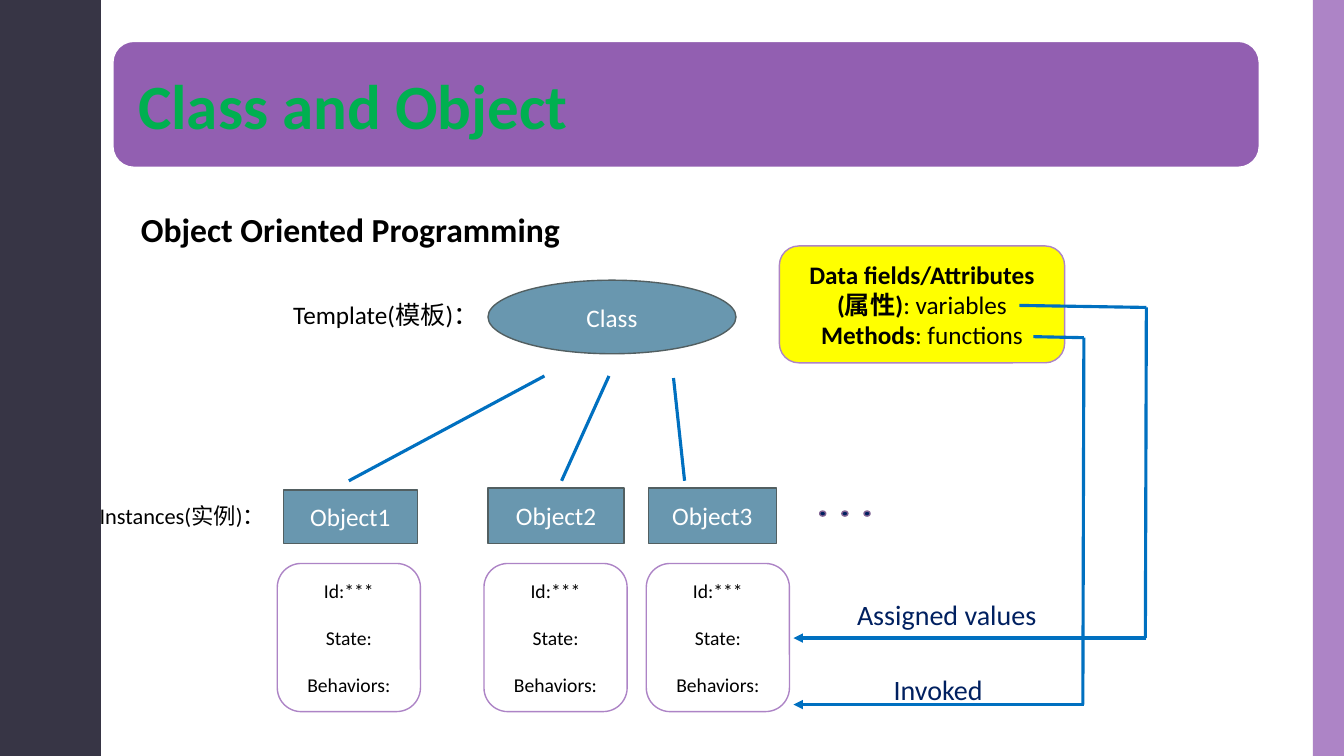
from lxml import etree
from pptx import Presentation
from pptx.dml.color import RGBColor
from pptx.enum.shapes import MSO_CONNECTOR, MSO_SHAPE
from pptx.enum.text import MSO_ANCHOR, PP_ALIGN
from pptx.oxml.ns import qn
from pptx.util import Inches, Pt

WHITE = RGBColor(0xFF, 0xFF, 0xFF)
BLACK = RGBColor(0, 0, 0)
NAVY = RGBColor(0x00, 0x20, 0x60)
BLUE = RGBColor(0x00, 0x70, 0xC0)
GREEN = RGBColor(0x00, 0xB0, 0x50)
YELLOW = RGBColor(0xFF, 0xFF, 0x00)
DARK = RGBColor(0x37, 0x35, 0x45)
LILAC = RGBColor(0xAD, 0x84, 0xC6)
PURPLE = RGBColor(0x87, 0x4E, 0xA9)
PLUM = RGBColor(0x80, 0x62, 0x92)
STEEL = RGBColor(0x69, 0x97, 0xAF)
SLATE = RGBColor(0x52, 0x5F, 0x61)

FONT = "Calibri"
WAVE_HALF = 0.75
WAVE_SUM = 1.75
WAVE_START = [(0.78, 0), (0.78, 0.07), (0.79, 0.14), (0.8, 0.2),
              (0.81, 0.25), (0.83, 0.29), (0.85, 0.33)]


def write(sp, paragraphs, size, color, align=PP_ALIGN.CENTER,
          anchor=MSO_ANCHOR.MIDDLE, wrap=True, gap=0):
    tf = sp.text_frame
    tf.word_wrap = wrap
    tf.vertical_anchor = anchor
    for i, runs in enumerate(paragraphs):
        p = tf.paragraphs[0] if i == 0 else tf.add_paragraph()
        p.alignment = align
        if i and gap:
            p.space_before = Pt(gap)
        for text, bold in runs:
            r = p.add_run()
            r.text = text
            r.font.name = FONT
            r.font.size = Pt(size)
            r.font.bold = bold
            r.font.color.rgb = color
    return tf


def paint(sp, fill, line=None):
    sp.shadow.inherit = False
    sp.fill.solid()
    sp.fill.fore_color.rgb = fill
    if line is None:
        sp.line.fill.background()
    else:
        sp.line.color.rgb = line
        sp.line.width = Pt(1)
    return sp


def add_box(s, kind, x, y, w, h, fill, line=None):
    sp = s.shapes.add_shape(kind, Inches(x), Inches(y), Inches(w), Inches(h))
    return paint(sp, fill, line)


def add_label(s, x, y, w, h, text, size, color=BLACK, bold=False,
              align=PP_ALIGN.LEFT, wrap=True):
    sp = s.shapes.add_textbox(Inches(x), Inches(y), Inches(w), Inches(h))
    write(sp, [[(text, bold)]], size, color, align, MSO_ANCHOR.TOP, wrap)


def add_line(s, x1, y1, x2, y2, arrow=False):
    line = s.shapes.add_connector(MSO_CONNECTOR.STRAIGHT, Inches(x1), Inches(y1),
                                  Inches(x2), Inches(y2))
    line.line.color.rgb = BLUE
    line.line.width = Pt(2.25)
    if arrow:
        etree.SubElement(line.line._get_or_add_ln(), qn("a:tailEnd"), type="triangle")
    etree.SubElement(line._element.spPr, qn("a:effectLst"))


def add_side_bands(s, width, height):
    half = WAVE_START + [(WAVE_SUM - x, WAVE_HALF - y) for x, y in reversed(WAVE_START)]
    period = half + [(x, 2 * WAVE_HALF - y) for x, y in reversed(half[:-1])]
    count = round(height / (2 * WAVE_HALF))
    edge = [(x, y + 2 * WAVE_HALF * i) for i in range(count) for x, y in period]
    builder = s.shapes.build_freeform(0, 0, scale=Inches(1))
    builder.add_line_segments(edge + [(0, height)], close=True)
    paint(builder.convert_to_shape(), DARK)
    add_box(s, MSO_SHAPE.RECTANGLE, width - 0.31, 0, 0.31, height, LILAC)


def add_title(s, x, y, w, h, text):
    sp = add_box(s, MSO_SHAPE.ROUNDED_RECTANGLE, x, y, w, h, PURPLE, WHITE)
    color = sp._element.spPr.find(qn("a:solidFill"))[0]
    etree.SubElement(color, qn("a:alpha"), val="90000")
    tf = write(sp, [[(text, True)]], 45, GREEN, PP_ALIGN.LEFT)
    tf.margin_left = tf.margin_right = Inches(0.19)


def add_class_row(s, x, y):
    add_label(s, x, y + 0.14, 2.11, 0.4, "Template(模板)：", 18)
    oval = add_box(s, MSO_SHAPE.OVAL, x + 2.03, y, 2.46, 0.73, STEEL, SLATE)
    write(oval, [[("Class", False)]], 18, WHITE)
    for x1, y1, x2 in [(2.59, 0.95, 0.65), (3.23, 0.95, 2.76), (3.87, 0.97, 3.98)]:
        add_line(s, x + x1, y + y1, x + x2, y + 1.99)


def add_object(s, x, y, w, h, name, card_x, card_y):
    head = add_box(s, MSO_SHAPE.RECTANGLE, x, y, w, h, STEEL, SLATE)
    write(head, [[(name, False)]], 18, WHITE)
    card = add_box(s, MSO_SHAPE.ROUNDED_RECTANGLE, card_x, card_y, 1.42, 1.47, WHITE, LILAC)
    rows = [[(text, False)] for text in ("Id:***", "State:", "Behaviors:")]
    write(card, rows, 14, BLACK, gap=17)


def add_instances(s, x, y):
    add_label(s, x, y + 0.09, 2.14, 0.37, "Instances(实例)：", 16)
    objects = [(1.92, 0.02, 1.33, 0.53, 1.86), (3.95, 0, 1.35, 0.55, 3.91),
               (5.54, 0, 1.27, 0.55, 5.52)]
    for i, (dx, dy, w, h, card_dx) in enumerate(objects, 1):
        add_object(s, x + dx, y + dy, w, h, f"Object{i}", x + card_dx, y + 0.75)
    for i in range(3):
        add_box(s, MSO_SHAPE.OVAL, x + 7.24 + 0.22 * i, y + 0.23, 0.06, 0.05, NAVY, PLUM)


def add_members(s, x, y, w, h):
    sp = add_box(s, MSO_SHAPE.ROUNDED_RECTANGLE, x, y, w, h, YELLOW, LILAC)
    write(sp, [[("Data fields/Attributes (属性)", True), (": variables", False)],
               [("Methods", True), (": functions", False)]], 18, BLACK)
    routes = [(2.38, 0.59, 3.64, 0.61, 3.89), (2.52, 0.9, 3.02, 0.91, 4.55)]
    for x1, y1, x2, y2, end_y in routes:
        add_line(s, x + x1, y + y1, x + x2, y + y2)
        add_line(s, x + x2, y + y2, x + x2 - 0.01, y + end_y)
        add_line(s, x + x2, y + end_y, x + 0.14, y + end_y, arrow=True)
    for dx, dy, label_w, text in [(0.66, 3.44, 2, "Assigned values"),
                                  (1.03, 4.18, 1.09, "Invoked")]:
        add_label(s, x + dx, y + dy, label_w, 0.44, text, 20, NAVY,
                  align=PP_ALIGN.CENTER, wrap=False)


def main():
    prs = Presentation()
    prs.slide_width = Inches(13.33)
    prs.slide_height = Inches(7.5)
    s = prs.slides.add_slide(prs.slide_layouts[6])
    add_side_bands(s, 13.33, 7.5)
    add_title(s, 1.12, 0.41, 11.37, 1.25, "Class and Object")
    add_label(s, 0.94, 2.02, 5.07, 0.5, "Object Oriented Programming", 24,
              bold=True, align=PP_ALIGN.CENTER)
    add_class_row(s, 2.81, 2.78)
    add_members(s, 7.73, 2.44, 2.83, 1.16)
    add_instances(s, 0.89, 4.84)
    prs.save("out.pptx")


if __name__ == "__main__":
    main()
